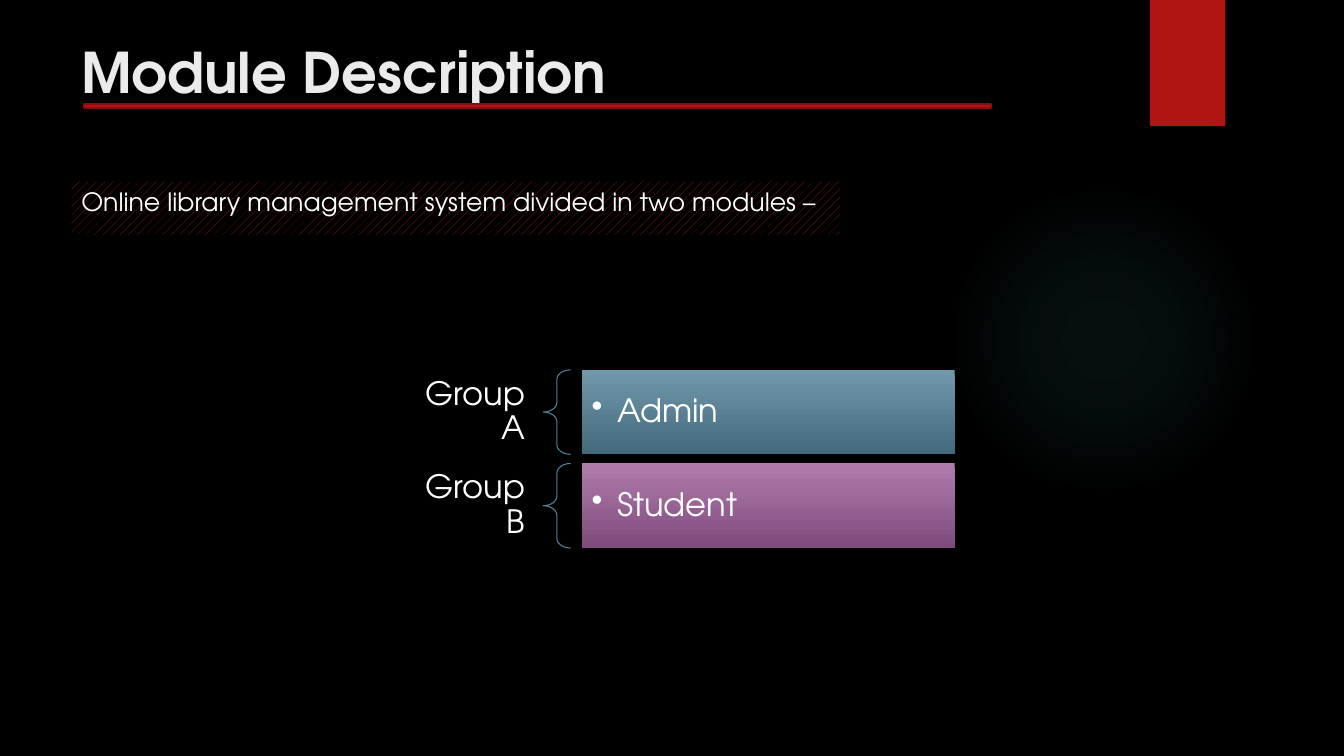
from lxml.etree import SubElement
from pptx import Presentation
from pptx.dml.color import RGBColor
from pptx.enum.dml import MSO_PATTERN
from pptx.enum.shapes import MSO_SHAPE
from pptx.enum.text import MSO_ANCHOR, PP_ALIGN
from pptx.oxml import parse_xml
from pptx.oxml.ns import nsdecls, qn
from pptx.util import Cm, Pt

COLORS = {
    "black": "000000", "white": "FFFFFF", "title": "EBEBEB",
    "red": "B01513", "dark_red": "82100E", "glow": "50B9C1", "brace": "54849A",
    "blue_top": "7198AB", "blue_bottom": "436A7C",
    "purple_top": "AF7CAC", "purple_bottom": "7F4B7C",
}
FONT = "TeX Gyre Adventor"


def add_shape(kind, left, top, width, height, fill=None):
    """Add a shape placed in centimetres, without line or shadow."""
    sp = s.shapes.add_shape(kind, Cm(left), Cm(top), Cm(width), Cm(height))
    sp.shadow.inherit = False
    sp.line.fill.background()
    if fill:
        sp.fill.solid()
        sp.fill.fore_color.rgb = RGBColor.from_string(COLORS[fill])
    else:
        sp.fill.background()
    return sp


def write(sp, text, size, color="white", align=PP_ALIGN.LEFT,
          anchor=MSO_ANCHOR.MIDDLE, inset=(0.25, 0.13)):
    """Put one paragraph in the shape; inset is horizontal, vertical in cm."""
    tf = sp.text_frame
    tf.word_wrap = True
    tf.vertical_anchor = anchor
    tf.margin_left = tf.margin_right = Cm(inset[0])
    tf.margin_top = tf.margin_bottom = Cm(inset[1])
    p = tf.paragraphs[0]
    p.text = text
    p.alignment = align
    font = p.runs[0].font
    font.name = FONT
    font.size = Pt(size)
    font.color.rgb = RGBColor.from_string(COLORS[color])
    return p


prs = Presentation()
prs.slide_width, prs.slide_height = Cm(33.87), Cm(19.05)
s = prs.slides.add_slide(prs.slide_layouts[6])
s.background.fill.solid()
s.background.fill.fore_color.rgb = RGBColor.from_string(COLORS["black"])

# Soft round glow
glow = add_shape(MSO_SHAPE.OVAL, 23.9, 4.65, 7.82, 7.82)
stops = "".join(
    f'<a:gs pos="{pos * 1000}"><a:srgbClr val="{COLORS["glow"]}">'
    f'<a:alpha val="{alpha * 1000}"/></a:srgbClr></a:gs>'
    for pos, alpha in ((0, 7), (36, 6), (69, 0)))
no_fill = glow._element.spPr.find(qn("a:noFill"))
no_fill.getparent().replace(no_fill, parse_xml(
    f'<a:gradFill {nsdecls("a")}><a:gsLst>{stops}</a:gsLst><a:path path="circle">'
    '<a:fillToRect l="50000" t="50000" r="50000" b="50000"/></a:path></a:gradFill>'))

# Corner tab and heading
add_shape(MSO_SHAPE.RECTANGLE, 28.98, 0, 1.9, 3.18, "red")
title = s.shapes.add_textbox(Cm(1.8), Cm(0.81), Cm(15.34), Cm(1.68))
write(title, "Module Description", 40, "title",
      anchor=MSO_ANCHOR.TOP).runs[0].font.bold = True

# Module groups
groups = [("Group A", "Admin", "blue"), ("Group B", "Student", "purple")]
for i, (group, module, hue) in enumerate(groups):
    top, height = 9.32 + 2.36 * i, 2.13

    label = s.shapes.add_textbox(Cm(10.24), Cm(top), Cm(3.45), Cm(height))
    p = write(label, group, 23, align=PP_ALIGN.RIGHT, inset=(0.45, 0.15))
    p.line_spacing = 0.9

    brace = add_shape(MSO_SHAPE.LEFT_BRACE, 13.69, top, 0.69, height)
    brace.adjustments[0] = 0.35
    brace.line.color.rgb = RGBColor.from_string(COLORS["brace"])
    brace.line.width = Pt(0.75)

    bar = add_shape(MSO_SHAPE.RECTANGLE, 14.66, top, 9.4, height)
    bar.fill.gradient()
    bar.fill.gradient_angle = 270
    for stop, end in zip(bar.fill.gradient_stops, ("top", "bottom")):
        stop.color.rgb = RGBColor.from_string(COLORS[f"{hue}_{end}"])
    p = write(bar, module, 23, inset=(0.25, 0.25))
    pPr = p._p.get_or_add_pPr()
    pPr.set("marL", str(Cm(0.64)))
    pPr.set("indent", str(-Cm(0.64)))
    SubElement(pPr, qn("a:buChar"), char="•")
    p.line_spacing = 0.9

# Introduction on a hatched band
intro = add_shape(MSO_SHAPE.RECTANGLE, 1.8, 4.57, 19.38, 1.35)
intro.fill.patterned()
intro.fill.pattern = MSO_PATTERN.PERCENT_20
intro.fill.fore_color.rgb = RGBColor.from_string(COLORS["red"])
intro.fill.back_color.rgb = RGBColor.from_string(COLORS["black"])
write(intro, "Online library management system divided in two modules –", 18,
      anchor=MSO_ANCHOR.TOP)

# Rule under the heading
rule = add_shape(MSO_SHAPE.MATH_MINUS, -2.01, 2.49, 31.12, 0.36, "red")
rule.line.color.rgb = RGBColor.from_string(COLORS["dark_red"])
rule.line.width = Pt(1.5)

prs.save("out.pptx")
